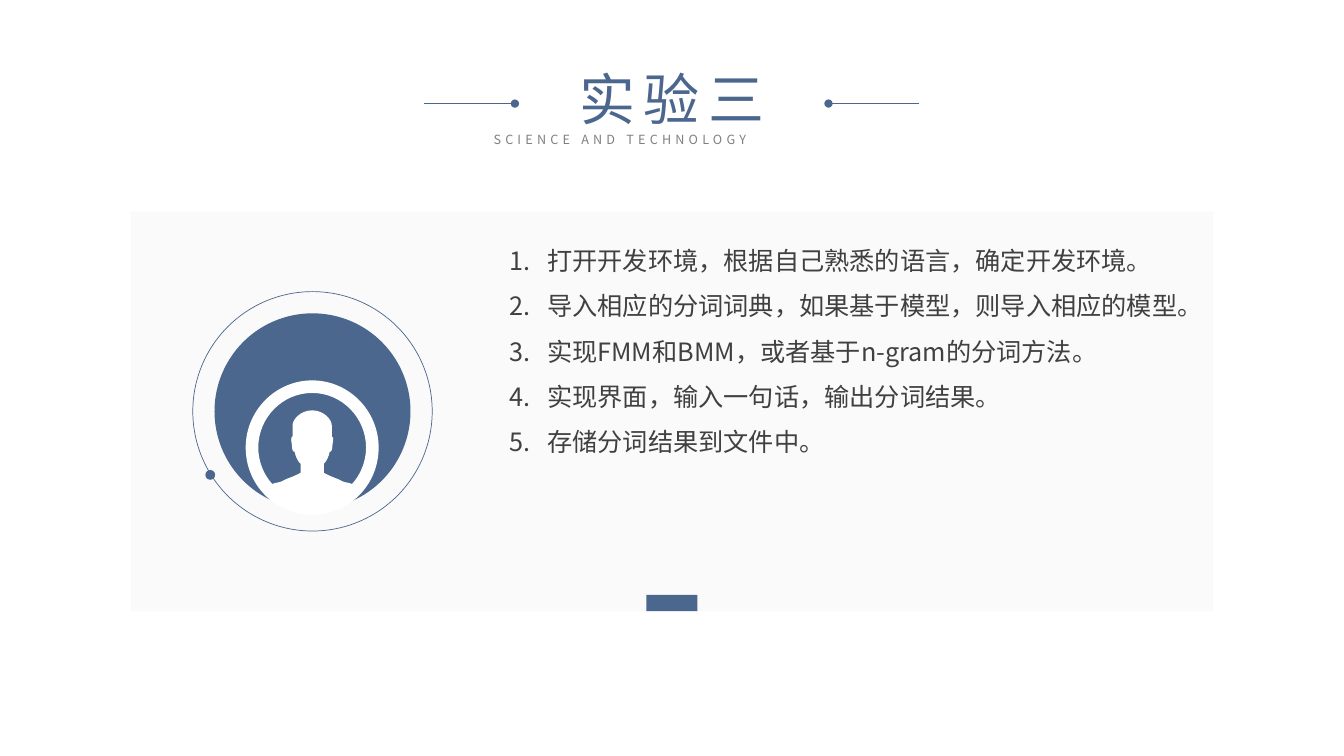
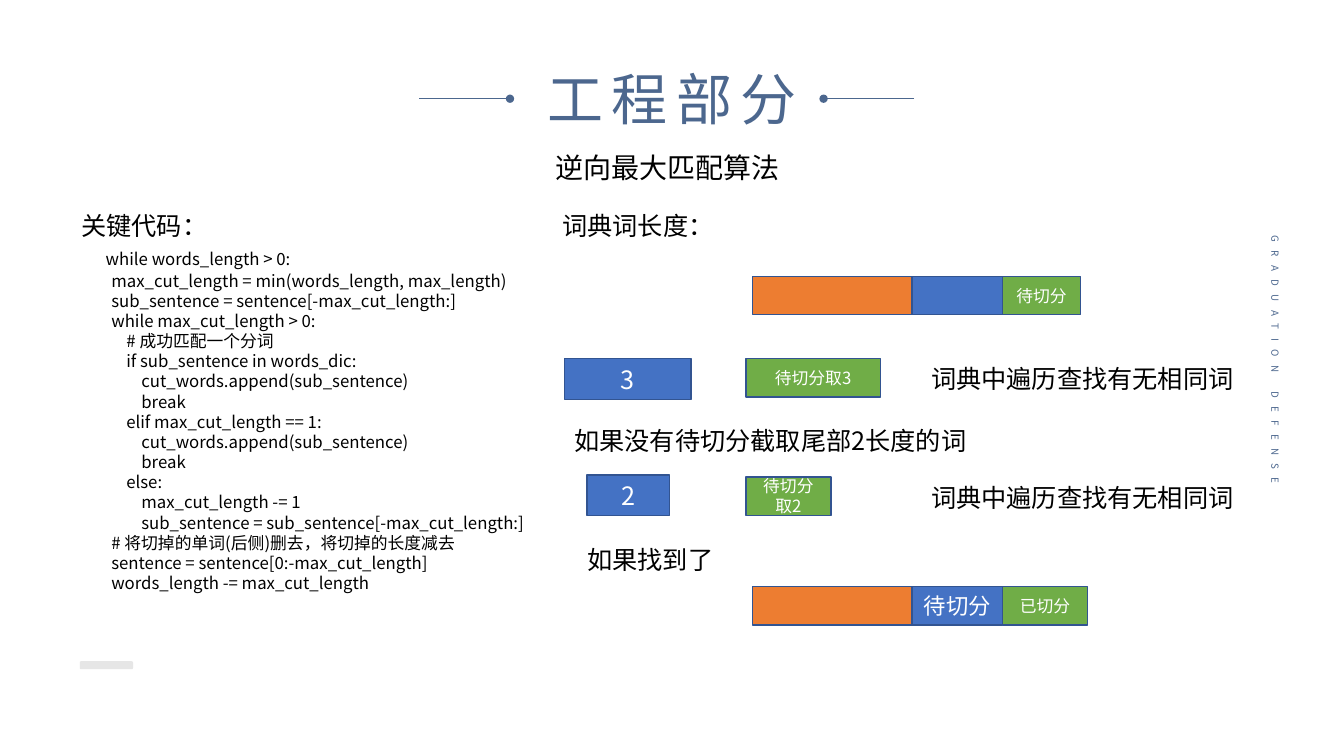
import copy

from lxml import etree
from pptx import Presentation
from pptx.dml.color import RGBColor
from pptx.enum import shapes, text
from pptx.oxml.ns import qn
from pptx.util import Pt

FONT = "Noto Sans CJK SC"
NAVY = RGBColor(0x4C, 0x67, 0x8E)
GRAY = RGBColor(0x80, 0x80, 0x80)
DARK = RGBColor(0x40, 0x40, 0x40)
BLACK = RGBColor(0, 0, 0)
WHITE = RGBColor(0xFF, 0xFF, 0xFF)
PANEL = RGBColor(0xF2, 0xF2, 0xF2)
PALE = RGBColor(0xE6, 0xE6, 0xE6)
BLUE = RGBColor(0x44, 0x72, 0xC4)
ORANGE = RGBColor(0xED, 0x7D, 0x31)
GREEN = RGBColor(0x70, 0xAD, 0x47)
EDGE = RGBColor(0x32, 0x54, 0x91)
LEFT, CENTER, JUSTIFY = (text.PP_ALIGN.LEFT, text.PP_ALIGN.CENTER,
                         text.PP_ALIGN.JUSTIFY)
RECT, OVAL = shapes.MSO_SHAPE.RECTANGLE, shapes.MSO_SHAPE.OVAL


def add_text(s, box, lines, size, color=BLACK, align=LEFT, spacing=0, sp=None):
    """Write lines into sp, or into a new text box, and return the text frame."""
    tf = (sp or s.shapes.add_textbox(*map(Pt, box))).text_frame
    tf.word_wrap = True
    if sp is None:
        tf.auto_size = text.MSO_AUTO_SIZE.SHAPE_TO_FIT_TEXT
    for i, line in enumerate(lines):
        p = tf.add_paragraph() if i else tf.paragraphs[0]
        p.alignment = align
        r = p.add_run()
        r.text = line
        for key, value in {"name": FONT, "size": Pt(size)}.items():
            setattr(r.font, key, value)
        r.font.color.rgb = color
        rPr = r.font._element
        etree.SubElement(rPr, qn("a:ea")).set("typeface", FONT)
        if spacing:
            rPr.set("spc", str(spacing * 100))
    return tf


def add_box(s, kind, box, fill=None, line=None, width=1, label="", size=12):
    sp = s.shapes.add_shape(kind, *map(Pt, box))
    sp.shadow.inherit = False
    if fill is None:
        sp.fill.background()
    else:
        sp.fill.solid()
        sp.fill.fore_color.rgb = fill
    if line is None:
        sp.line.fill.background()
    else:
        sp.line.color.rgb = line
        sp.line.width = Pt(width)
    if label:
        add_text(s, box, [label], size, WHITE, CENTER, sp=sp)
    return sp


prs = Presentation()
prs.slide_width, prs.slide_height = Pt(960), Pt(540)

# Titles with a dotted rule on each side
slides = []
for title, rule_x, rule_y in (("实验三", 303, 74), ("工程部分", 299.5, 70.5)):
    s = prs.slides.add_slide(prs.slide_layouts[6])
    slides.append(s)
    add_text(s, (371.5, 42.5, 217, 55.5), [title], 40, NAVY, CENTER, 6)
    for start, end in ((0, 64.8), (353.5, 288.8)):
        rule = s.shapes.add_connector(
            shapes.MSO_CONNECTOR.STRAIGHT, Pt(rule_x + start), Pt(rule_y),
            Pt(rule_x + end), Pt(rule_y))
        rule.line.color.rgb = NAVY
        rule.line.width = Pt(0.5)
        etree.SubElement(rule.line._get_or_add_ln(),
                         qn("a:tailEnd")).set("type", "oval")
        etree.SubElement(rule._element.spPr, qn("a:effectLst"))
task, project = slides

# Slide 1: task list
s = task
add_text(s, (345.5, 90.4, 269, 18), ["SCIENCE AND TECHNOLOGY"], 9, GRAY,
         JUSTIFY, 3)
panel = add_box(s, RECT, (93.7, 151, 772.7, 285.8), PANEL)
color = panel.fill._xPr.find(qn("a:solidFill"))[0]
etree.SubElement(color, qn("a:alpha")).set("val", "33000")
add_box(s, RECT, (461.7, 425, 36.5, 11.5), NAVY)

steps = [
    "打开开发环境，根据自己熟悉的语言，确定开发环境。",
    "导入相应的分词词典，如果基于模型，则导入相应的模型。",
    "实现FMM和BMM，或者基于n-gram的分词方法。",
    "实现界面，输入一句话，输出分词结果。",
    "存储分词结果到文件中。",
]
tf = add_text(s, (356.8, 160.8, 509.8, 170.5), steps, 18, DARK, JUSTIFY)
for p in tf.paragraphs:
    p.line_spacing = 1.5
    pPr = p._p.get_or_add_pPr()
    pPr.set("marL", str(Pt(27)))
    pPr.set("indent", str(Pt(-27)))
    etree.SubElement(pPr, qn("a:buFont")).set("typeface", "+mj-lt")
    etree.SubElement(pPr, qn("a:buAutoNum")).set("type", "arabicPeriod")

# Person badge
for x, y, radius, fill, line in (
        (223.2, 293.8, 85.5, None, NAVY), (223.2, 293.8, 70, NAVY, None),
        (150.2, 339.2, 3.5, NAVY, None)):
    add_box(s, OVAL, (x - radius, y - radius, 2 * radius, 2 * radius),
            fill, line, 0.5)

# Left halves of the ring and the person, as Bezier points around the centre
cx, cy = 223, 319.7
ring = [(0, 48), (-26, 48), (-47.5, 27), (-47.5, 0),
        (-47.5, -26.5), (-26, -48), (0, -48)]
person = [
    (0, -39), (-21.6, -39), (-38.5, -21), (-38.5, 0),
    (-38.5, 10), (-34.5, 19.5), (-28.5, 26),
    (-23, 24), (-25, 26), (-18.5, 22.5),
    (-10.5, 19.5), (-8.3, 18), (-8.3, 18),
    (-8.3, 11.5), (-8.3, 11.5), (-8.3, 11.5),
    (-8.3, 11.5), (-11.2, 9.5), (-12.5, 3),
    (-14, 3.6), (-14.4, 0), (-14.4, -0.7),
    (-14.4, -3), (-16, -8), (-14, -8),
    (-14, -11), (-14, -13), (-14, -16),
    (-14, -20), (-8.3, -26.6), (0, -26.6),
]
builder, controls = None, []
for half in (ring, person):
    outline = half + [(-x, y) for x, y in reversed(half[:-1])]
    points = [(Pt(cx + x), Pt(cy + y)) for x, y in outline]
    if builder is None:
        builder = s.shapes.build_freeform(*points[0], scale=1.0)
    else:
        builder.move_to(*points[0])
    builder.add_line_segments(points[3::3], close=True)
    controls += zip(points[1::3], points[2::3])
badge = builder.convert_to_shape()
badge.shadow.inherit = False
badge.fill.solid()
badge.fill.fore_color.rgb = WHITE
badge.line.fill.background()
for segment, pair in zip(list(badge._element.iter(qn("a:lnTo"))), controls):
    curve = etree.Element(qn("a:cubicBezTo"))
    for x, y in pair:
        etree.SubElement(curve, qn("a:pt"), x=str(x - badge.left),
                         y=str(y - badge.top))
    curve.append(copy.deepcopy(segment[0]))
    segment.getparent().replace(segment, curve)

# Slide 2: code and matching diagram
s = project
tf = add_text(s, (895.7, 161.3, 23, 252.7), ["GRADUATION DEFENSE"], 7, NAVY,
              LEFT, 6)
tf._txBody.bodyPr.set("vert", "eaVert")
add_box(s, shapes.MSO_SHAPE.ROUNDED_RECTANGLE, (57, 472.3, 38, 5.7), PALE)
add_text(s, (371.5, 104, 211, 31.5), ["逆向最大匹配算法"], 20, align=CENTER)

code = """\
  while words_length > 0:
        max_cut_length = min(words_length, max_length)
        sub_sentence = sentence[-max_cut_length:]
        while max_cut_length > 0:
            # 成功匹配一个分词
            if sub_sentence in words_dic:
                cut_words.append(sub_sentence)
                break
            elif max_cut_length == 1:
                cut_words.append(sub_sentence)
                break
            else:
                max_cut_length -= 1
                sub_sentence = sub_sentence[-max_cut_length:]
        # 将切掉的单词(后侧)删去，将切掉的长度减去
        sentence = sentence[0:-max_cut_length]
        words_length -= max_cut_length"""
tf = add_text(s, (51, 146.4, 340.5, 341), ["关键代码："] + code.split("\n"), 12)
heading, loop = tf.paragraphs[:2]
heading.runs[0].font.size = Pt(18)
loop.runs[0]._r.addprevious(copy.deepcopy(loop.runs[0]._r))
indent = loop.runs[0]
indent.text = "   "
indent.font.size = Pt(18)

for x, y, width, note in (
        (394.5, 146.4, 134, "词典词长度："),
        (658, 256, 246.5, "词典中遍历查找有无相同词"),
        (403.2, 300.5, 391.7, "如果没有待切分截取尾部2长度的词"),
        (658, 340.8, 246.5, "词典中遍历查找有无相同词"),
        (412.5, 385, 117, "如果找到了")):
    add_text(s, (x, y, width, 29), [note], 18)

for y, cells in (
        (197.3, ((113.8, ORANGE, ""), (64.8, BLUE, ""),
                 (55.5, GREEN, "待切分"))),
        (419, ((113.8, ORANGE, ""), (64.8, BLUE, "待切分"),
               (60.5, GREEN, "已切分")))):
    x = 537.7
    for width, fill, label in cells:
        add_box(s, RECT, (x, y, width, 27.4), fill, EDGE, label=label,
                size=16 if fill == BLUE else 12)
        x += width

for x, y, width, height, fill, label, size in (
        (403.4, 256.2, 90.3, 29, BLUE, "3", 18),
        (532.8, 256.2, 96, 27.4, GREEN, "待切分取3", 12),
        (419.2, 339.3, 59, 29, BLUE, "2", 18),
        (532.8, 340.7, 60.7, 27.4, GREEN, "待切分取2", 12)):
    add_box(s, RECT, (x, y, width, height), fill, EDGE, label=label, size=size)

prs.save("out.pptx")
